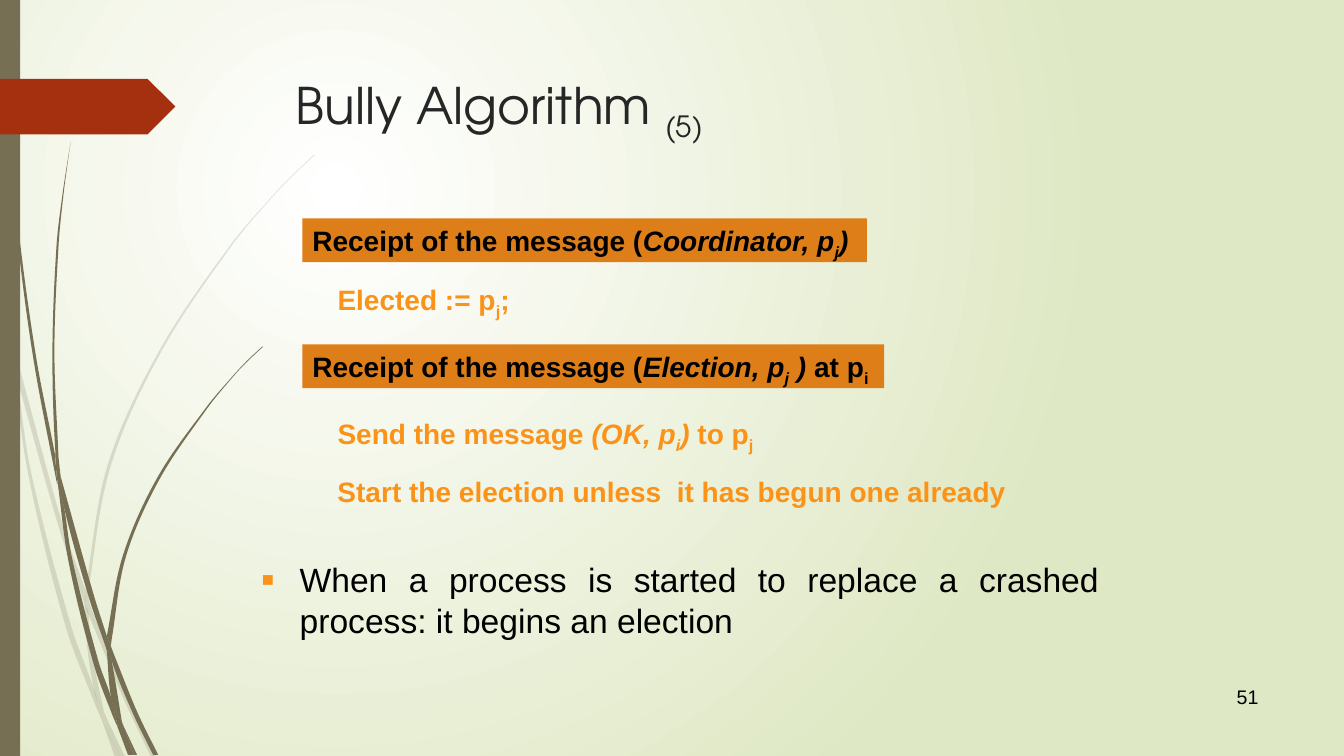
from dataclasses import dataclass
from math import dist

from lxml.etree import SubElement
from pptx import Presentation
from pptx.dml.color import RGBColor
from pptx.enum.shapes import MSO_SHAPE
from pptx.enum.text import MSO_ANCHOR, MSO_AUTO_SIZE, PP_ALIGN
from pptx.oxml.ns import qn
from pptx.util import Pt


@dataclass(frozen=True)
class Theme:
    glow: str = "FFFFFF"
    meadow: str = "DFE8C4"
    grass: str = "766F54"
    flag: str = "A53010"
    banner: str = "DE7E18"
    accent: str = "FB9318"
    heading: str = "262626"
    ink: str = "000000"
    heading_font: str = "TeX Gyre Adventor"
    body_font: str = "Arial"
    heading_size: int = 36
    rule_size: int = 20
    note_size: int = 24
    number_size: int = 14


THEME = Theme()
WIDTH, HEIGHT = 960, 540

# Blade pieces on a grid 750 units tall: one edge, then the other edge back
GRID = 750
PALE_BLADES = [
    ([(11, 350), (9, 322), (0, 282)], [(0, 299), (10, 344)]),
    ([(17, 376), (58, 522), (84, 599)], [(85, 586), (62, 520), (14, 345)]),
    ([(88, 610), (123, 694), (150, 751)], [(155, 751), (127, 692), (92, 607), (88, 596)]),
    ([(105, 711), (119, 751)], [(124, 751)]),
    ([(11, 350), (28, 470), (65, 621), (92, 693), (101, 714)],
     [(99, 707), (93, 683), (70, 619), (31, 469), (17, 376)]),
    ([(84, 599), (87, 646), (93, 683), (96, 692), (105, 711)],
     [(103, 706), (91, 646), (88, 610), (88, 608)]),
    ([(312, 153), (289, 175), (268, 197), (228, 244), (158, 348), (107, 461), (85, 584), (85, 586)],
     [(88, 596), (88, 584), (110, 462), (160, 349), (229, 245), (268, 198), (290, 175), (312, 154)]),
    ([(101, 714), (114, 751)], [(119, 751)]),
    ([(85, 586), (84, 599), (88, 610)], [(88, 596)]),
    ([(93, 683), (99, 707), (101, 714), (119, 751)], [(105, 711), (96, 692)]),
]
DARK_BLADES = [
    ([(3, 0), (4, 48), (7, 110), (17, 233), (33, 355), (56, 477), (57, 481)],
     [(55, 457), (55, 453), (36, 355), (19, 232), (8, 109), (5, 48), (4, 0)]),
    ([(60, 472), (64, 505), (88, 592), (106, 645)], [(106, 631), (93, 590), (60, 472)]),
    ([(110, 641), (111, 656), (132, 708), (152, 749)], [(157, 749), (136, 706), (113, 649)]),
    ([(57, 477), (68, 557), (93, 659), (111, 708), (117, 722)],
     [(116, 717), (110, 691), (98, 657), (72, 556), (64, 505)]),
    ([(70, 141), (62, 193), (56, 245), (52, 349), (55, 449), (60, 472)],
     [(58, 453), (54, 349), (58, 245), (63, 193), (70, 141)]),
    ([(122, 719), (133, 749)], [(136, 749)]),
    ([(55, 449), (55, 453), (57, 477), (64, 505)], [(60, 472)]),
    ([(260, 344), (245, 358), (231, 373), (204, 405), (156, 474), (122, 551), (106, 631)],
     [(110, 641), (111, 633), (125, 552), (158, 476), (205, 406), (231, 374), (245, 359), (261, 344)]),
    ([(117, 722), (127, 749)], [(131, 749)]),
    ([(106, 645), (110, 691), (116, 706), (122, 719)], [(121, 716), (111, 656), (109, 651)]),
    ([(106, 631), (106, 645), (111, 656)], [(110, 641)]),
    ([(110, 691), (116, 717), (117, 722), (130, 749)], [(133, 749), (122, 719), (116, 706)]),
]


def rgb(color):
    return RGBColor.from_string(color)


def paint(shape, color, opacity=100):
    """Fill flat, with no line or shadow."""
    shape.shadow.inherit = False
    shape.fill.solid()
    shape.fill.fore_color.rgb = rgb(color)
    shape.line.fill.background()
    if opacity < 100:
        tone = shape.fill._xPr.find(f"{qn('a:solidFill')}/{qn('a:srgbClr')}")
        SubElement(tone, qn("a:alpha")).set("val", str(opacity * 1000))


def outline(slide, points):
    corners = [(Pt(x), Pt(y)) for x, y in points]
    builder = slide.shapes.build_freeform(*corners[0])
    builder.add_line_segments(corners[1:], close=True)
    return builder.convert_to_shape()


def bend(shape, edge_length):
    """Turn the straight steps along each edge into smooth curves."""
    nodes = list(shape._element.iter(qn("a:pt")))
    points = [(int(node.get("x")), int(node.get("y"))) for node in nodes]
    for start, stop in ((0, edge_length), (edge_length, len(points))):
        edge = points[start:stop]
        padded = [edge[0], *edge, edge[-1]]
        for i in range(1, len(edge)):
            before, here, there, after = padded[i - 1:i + 3]
            reach = dist(here, there) / 3
            out, back = reach / dist(before, there), reach / dist(here, after)
            step = nodes[start + i].getparent()
            controls = [[h + (t - b) * out for b, h, t in zip(before, here, there)],
                        [t - (a - h) * back for h, t, a in zip(here, there, after)], there]
            curve = SubElement(step.getparent(), qn("a:cubicBezTo"))
            for x, y in controls:
                SubElement(curve, qn("a:pt"), x=str(round(x)), y=str(round(y)))
            step.getparent().replace(step, curve)


def write(shape, runs, size, color, font=THEME.body_font, bold=False, align=PP_ALIGN.LEFT):
    """Write one paragraph; run marks: i for italic, s for subscript."""
    frame = shape.text_frame
    frame.word_wrap = True
    frame.vertical_anchor = MSO_ANCHOR.TOP
    paragraph = frame.paragraphs[0]
    paragraph.alignment = align
    paragraph.font.name = font
    paragraph.font.size = Pt(size)
    paragraph.font.bold = bold
    paragraph.font.color.rgb = rgb(color)
    for text, marks in runs:
        run = paragraph.add_run()
        run.text = text
        if "i" in marks:
            run.font.italic = True
        if "s" in marks:
            run._r.get_or_add_rPr().set("baseline", "-25000")
    return paragraph


def text_box(slide, box):
    return slide.shapes.add_textbox(*map(Pt, box))


def draw_background(slide):
    fill = slide.background.fill
    fill.gradient()
    for stop, color, place in zip(fill.gradient_stops, (THEME.glow, THEME.meadow), (0, 1)):
        stop.color.rgb = rgb(color)
        stop.position = place
    gradient = slide.background._cSld.find(f".//{qn('a:gradFill')}")
    gradient.remove(gradient.find(qn("a:lin")))
    circle = SubElement(gradient, qn("a:path"), path="circle")
    SubElement(circle, qn("a:fillToRect"), l="50000", t="50000", r="100000", b="100000")


def draw_grass(slide, box):
    left, top, _, height = box
    unit = height / GRID
    for blades, opacity in ((PALE_BLADES, 20), (DARK_BLADES, 100)):
        for edge, other_edge in blades:
            blade = outline(slide, [(left + x * unit, top + y * unit) for x, y in edge + other_edge])
            bend(blade, len(edge))
            paint(blade, THEME.grass, opacity)
    # Side strip in front of the blades
    strip = slide.shapes.add_shape(MSO_SHAPE.RECTANGLE, Pt(left), Pt(top), Pt(14.4), Pt(height))
    paint(strip, THEME.grass)


def draw_flag(slide, box):
    left, top, width, height = box
    right, bottom, shoulder = left + width, top + height, left + width - height / 2
    paint(outline(slide, [(left, top), (shoulder, top), (right, top + height / 2),
                          (shoulder, bottom), (left, bottom)]), THEME.flag)


def draw_title(slide, box):
    write(text_box(slide, box), [("Bully Algorithm ", ""), ("(5)", "s")],
          THEME.heading_size, THEME.heading, THEME.heading_font)


def draw_rules(slide, box):
    left, top, width, _ = box
    line = 31.2
    # Message banners: offset, width, wording
    for offset, length, runs in [
        (0, 403.2, [("Receipt of the message (", ""), ("Coordinator, p", "i"), ("j", "is"), (")", "i")]),
        (90, 415.5, [("Receipt of the message (", ""), ("Election, p", "i"), ("j", "is"),
                     (" )", "i"), (" at p", ""), ("i", "s")]),
    ]:
        banner = slide.shapes.add_shape(
            MSO_SHAPE.RECTANGLE, Pt(left), Pt(top + offset), Pt(length), Pt(line))
        paint(banner, THEME.banner)
        write(banner, runs, THEME.rule_size, THEME.ink, bold=True)
        banner.text_frame.word_wrap = False
        banner.text_frame.auto_size = MSO_AUTO_SIZE.SHAPE_TO_FIT_TEXT
    # Actions under the banners: offset, width, wording
    for offset, length, runs in [
        (42, width, [("Elected := p", ""), ("j", "s"), (";", "")]),
        (138, width, [("Send the message ", ""), ("(OK, p", "i"), ("i", "is"), (")", "i"),
                      (" to p", ""), ("j", "s")]),
        (179.3, width - 54, [("Start the election unless  it has begun one already", "")]),
    ]:
        action = text_box(slide, (left + 18, top + offset, length - 18, line))
        write(action, runs, THEME.rule_size, THEME.accent, bold=True)


def draw_note(slide, box):
    wording = "When a process is started to replace a crashed process: it begins an election"
    note = write(text_box(slide, box), [(wording, "")], THEME.note_size, THEME.ink,
                 align=PP_ALIGN.JUSTIFY)
    note.space_before = Pt(4.8)
    # Square bullet with a hanging indent
    props = note._p.get_or_add_pPr()
    props.set("marL", str(Pt(27)))
    props.set("indent", str(-Pt(27)))
    defaults = props.find(qn("a:defRPr"))
    for tag, values in [("buClr", {}), ("buSzPct", {"val": "60000"}),
                        ("buFont", {"typeface": THEME.body_font}), ("buChar", {"char": "■"})]:
        part = SubElement(props, qn(f"a:{tag}"), **values)
        defaults.addprevious(part)
        if tag == "buClr":
            SubElement(part, qn("a:srgbClr"), val=THEME.accent)


def draw_number(slide, box):
    number = text_box(slide, box)
    write(number, [("51", "")], THEME.number_size, THEME.ink, align=PP_ALIGN.RIGHT)
    number.text_frame.vertical_anchor = MSO_ANCHOR.MIDDLE


def main():
    deck = Presentation()
    deck.slide_width, deck.slide_height = Pt(WIDTH), Pt(HEIGHT)
    slide = deck.slides.add_slide(deck.slide_layouts[6])
    draw_background(slide)
    draw_grass(slide, (0, 0, 225, HEIGHT))
    draw_flag(slide, (0, 56.3, 125.3, 39.8))
    draw_number(slide, (816, 483, 90, 29.5))
    draw_title(slide, (204.2, 49.4, 702, 100.8))
    draw_rules(slide, (216, 156, 582, 210))
    draw_note(slide, (180, 396, 612, 42))
    deck.save("out.pptx")


if __name__ == "__main__":
    main()
